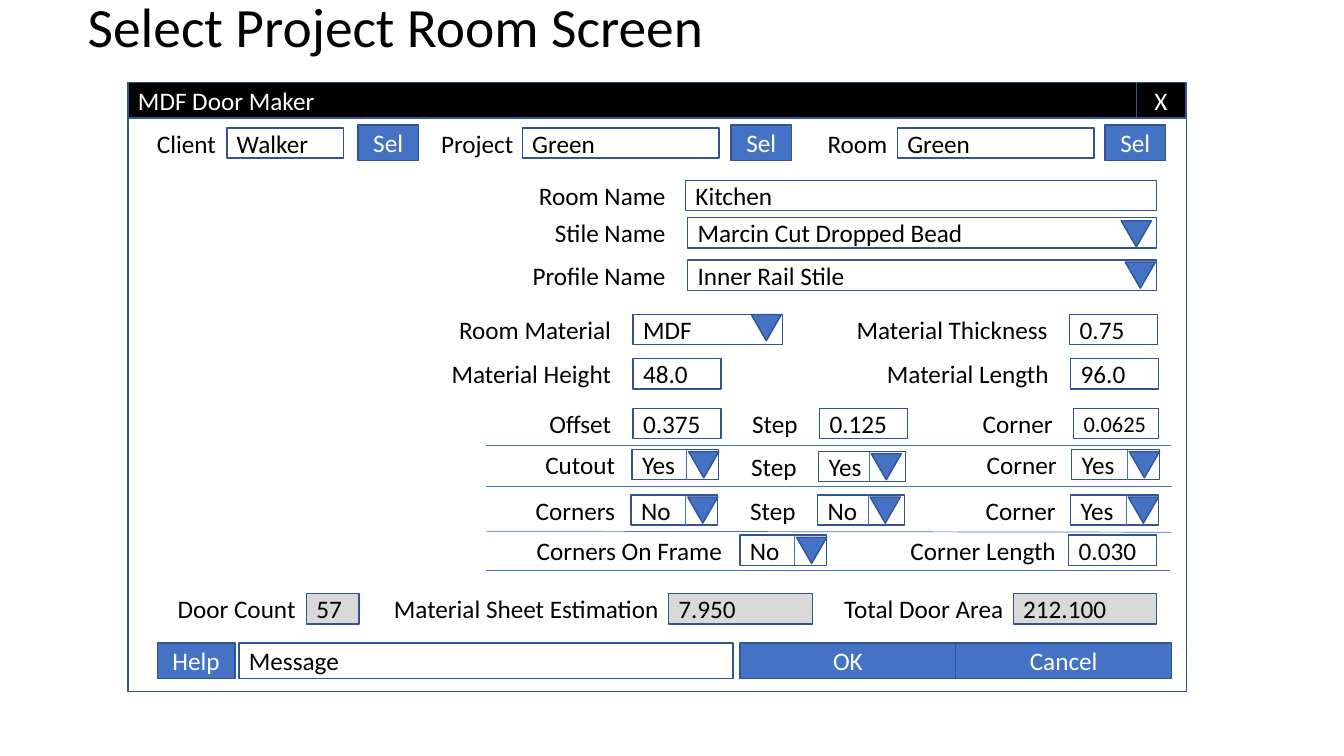
import pptx
import pptx.util
import pptx.dml.color
import pptx.enum.shapes
import pptx.enum.text
import pptx.oxml.ns
import lxml.etree

Inches = pptx.util.Inches
RGBColor = pptx.dml.color.RGBColor
Align = pptx.enum.text.PP_ALIGN
Shape = pptx.enum.shapes.MSO_SHAPE

BLACK = RGBColor(0x00, 0x00, 0x00)
WHITE = RGBColor(0xFF, 0xFF, 0xFF)
GREY = RGBColor(0xD9, 0xD9, 0xD9)
BLUE = RGBColor(0x44, 0x72, 0xC4)
DARK_BLUE = RGBColor(0x32, 0x54, 0x91)

ROW_HEIGHT = 0.3
BAR_HEIGHT = 0.35

PLAIN_FIELDS = {
    1.27: [
        ("Client", 1.38, 0.86, "Walker", 2.25, 1.16),
        ("Project", 4.27, 0.92, "Green", 5.18, 1.95),
        ("Room", 8.09, 0.81, "Green", 8.9, 1.95),
    ],
    1.79: [("Room Name", 5.21, 1.49, "Kitchen", 6.8, 4.67)],
    3.12: [("Material Thickness", 8.18, 2.31, "0.75", 10.61, 0.87)],
    3.56: [
        ("Material Height", 4.3, 1.86, "48.0", 6.28, 0.87),
        ("Material Length", 8.64, 1.86, "96.0", 10.62, 0.87),
    ],
    4.05: [
        ("Offset", 4.3, 1.86, "0.375", 6.28, 0.87),
        ("Step", 7.14, 0.87, "0.125", 8.13, 0.87),
    ],
    5.31: [("Corner Length", 8.62, 1.95, "0.030", 10.6, 0.87)],
}
TOTAL_FIELDS = [
    ("Door Count", 1.39, 1.64, "57", 3.04, 0.52),
    ("Material Sheet Estimation", 3.57, 3.06, "7.950", 6.63, 1.43),
    ("Total Door Area", 7.62, 2.43, "212.100", 10.05, 1.42),
]
LISTS = [
    (2.16, ("Stile Name", 5.21, 1.49, "Marcin Cut Dropped Bead", 6.82, 4.65), 11.12, 0.03),
    (2.58, ("Profile Name", 5.12, 1.58, "Inner Rail Stile", 6.82, 4.65), 11.16, 0.02),
    (3.12, ("Room Material", 3.85, 2.31, "MDF", 6.28, 1.48), 7.45, 0),
]
CHOICES = [
    (4.46, ("Cutout", 5.26, 0.94, "Yes", 6.27, 0.86), 6.83),
    (4.48, ("Step", 7.28, 0.72, "Yes", 8.12, 0.86), 8.64),
    (4.46, ("Corner", 9.5, 1.08, "Yes", 10.63, 0.87), 11.2),
    (4.91, ("Corners", 5.16, 1.04, "No", 6.26, 0.86), 6.82),
    (4.91, ("Step", 7.27, 0.72, "No", 8.11, 0.86), 8.63),
    (4.91, ("Corner", 9.49, 1.08, "Yes", 10.62, 0.87), 11.19),
    (5.31, ("Corners On Frame", 4.82, 2.44, "No", 7.34, 0.86), 7.9),
]
SEPARATORS = [
    (4.82, 4.42, 11.61, 4.42),
    (4.82, 4.83, 11.62, 4.83),
    (4.83, 5.27, 11.62, 5.28),
    (4.82, 5.66, 11.6, 5.66),
]


class FormPage:
    font = "Calibri"
    size = 18

    def __init__(self, deck):
        self.page = deck.slides.add_slide(deck.slide_layouts[5])

    def add_text(self, frame, text, color, align, size):
        frame.vertical_anchor = pptx.enum.text.MSO_ANCHOR.MIDDLE
        para = frame.paragraphs[0]
        para.alignment = align
        span = para.add_run()
        span.text = text
        span.font.name = self.font
        span.font.size = pptx.util.Pt(size)
        span.font.color.rgb = color
        return para

    def title(self, text):
        box = self.page.shapes.title
        box.left, box.top = Inches(0.77), Inches(0.03)
        box.width, box.height = Inches(11.5), Inches(0.52)
        para = self.add_text(box.text_frame, text, BLACK, Align.LEFT, 39.6)
        para.line_spacing = 0.9

    def shape(self, kind, left, top, width, height, fill=None, line=DARK_BLUE):
        box = self.page.shapes.add_shape(
            kind, Inches(left), Inches(top), Inches(width), Inches(height))
        box.shadow.inherit = False
        if fill is None:
            box.fill.background()
        else:
            box.fill.solid()
            box.fill.fore_color.rgb = fill
        if line is None:
            box.line.fill.background()
        else:
            box.line.color.rgb = line
            box.line.width = pptx.util.Pt(1)
        return box

    def panel(self, text, left, top, width, height=ROW_HEIGHT, fill=WHITE,
              line=DARK_BLUE, color=BLACK, align=Align.LEFT, size=size):
        box = self.shape(Shape.RECTANGLE, left, top, width, height, fill, line)
        box.text_frame.word_wrap = True
        self.add_text(box.text_frame, text, color, align, size)

    def button(self, text, left, top, width, fill=BLUE, align=Align.CENTER):
        self.panel(text, left, top, width, BAR_HEIGHT, fill, color=WHITE, align=align)

    def field(self, top, entry, fill=WHITE, size=size):
        label, label_left, label_width, value, left, width = entry
        self.panel(label, label_left, top, label_width, fill=None, line=None,
                   align=Align.RIGHT)
        self.panel(value, left, top, width, fill=fill, size=size)

    def arrow(self, left, top):
        self.shape(Shape.ISOSCELES_TRIANGLE, left, top, 0.3, 0.26, BLUE).rotation = 180

    def rule(self, start_x, start_y, end_x, end_y):
        line = self.page.shapes.add_connector(
            pptx.enum.shapes.MSO_CONNECTOR.STRAIGHT,
            Inches(start_x), Inches(start_y), Inches(end_x), Inches(end_y))
        line.line.color.rgb = BLUE
        line.line.width = pptx.util.Pt(0.5)
        lxml.etree.SubElement(line._element.spPr, pptx.oxml.ns.qn("a:effectLst"))

    def choice(self, top, entry, arrow_left):
        self.field(top, entry)
        self.arrow(arrow_left, top + 0.02)
        self.rule(arrow_left - 0.02, top + ROW_HEIGHT, arrow_left - 0.02, top)


def main():
    deck = pptx.Presentation()
    deck.slide_width, deck.slide_height = Inches(13.33), Inches(7.5)
    form = FormPage(deck)
    form.title("Select Project Room Screen")

    form.shape(Shape.RECTANGLE, 1.27, 0.82, 10.5, 6.04)
    form.button("MDF Door Maker", 1.27, 0.82, 10.01, BLACK, Align.LEFT)
    form.button("X", 11.27, 0.82, 0.49, BLACK)

    for top, entries in PLAIN_FIELDS.items():
        for entry in entries:
            form.field(top, entry)
    form.field(4.05, ("Corner", 8.79, 1.75, "0.0625", 10.65, 0.84), size=16)
    for entry in TOTAL_FIELDS:
        form.field(5.89, entry, GREY)
    for left in (3.55, 7.25, 10.96):
        form.button("Sel", left, 1.24, 0.6)

    for top, entry, arrow_left, drop in LISTS:
        form.field(top, entry)
        form.arrow(arrow_left, top + drop)
    for top, entry, arrow_left in CHOICES:
        form.choice(top, entry, arrow_left)
    for ends in SEPARATORS:
        form.rule(*ends)

    form.button("Help", 1.56, 6.38, 0.77)
    form.panel("Message", 2.37, 6.38, 4.9, BAR_HEIGHT)
    form.button("OK", 7.34, 6.38, 2.14)
    form.button("Cancel", 9.48, 6.38, 2.14)
    deck.save("out.pptx")


if __name__ == "__main__":
    main()
